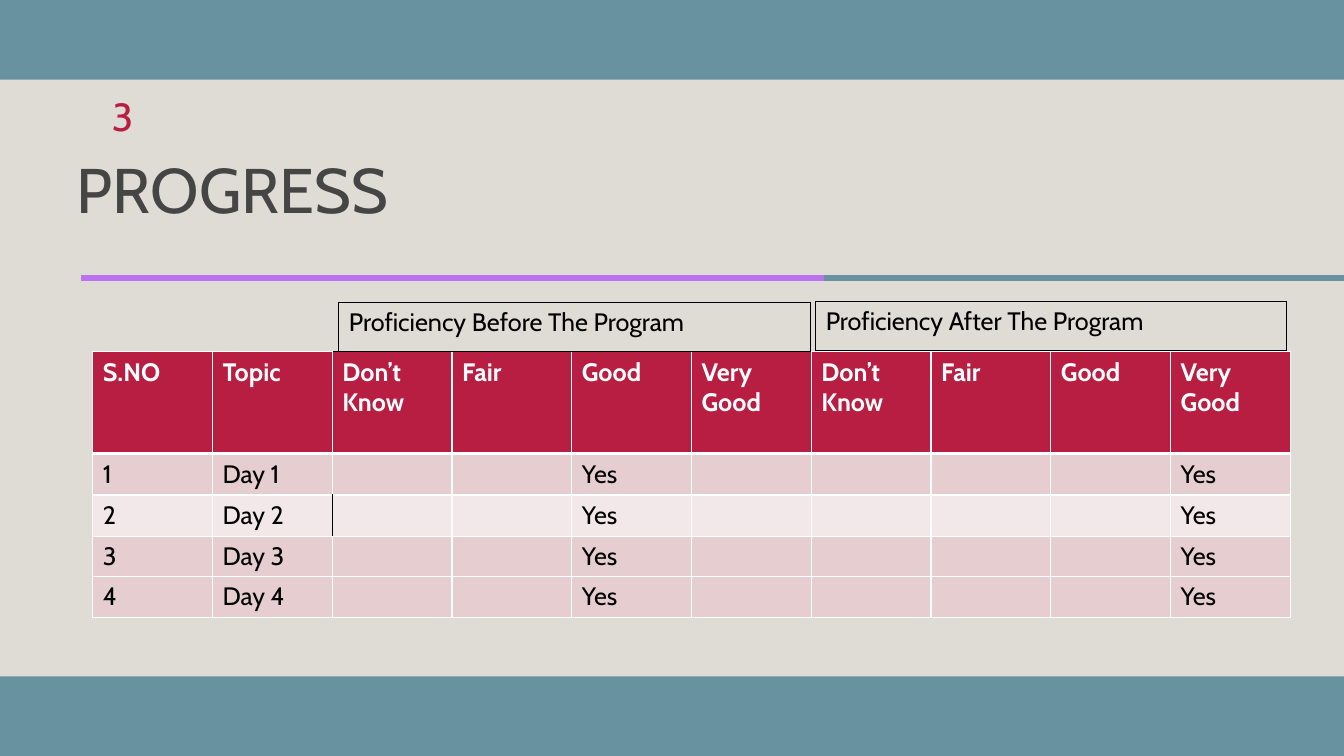
"""Build the PROGRESS slide with its proficiency tables."""
from lxml.etree import SubElement
from pptx import Presentation
from pptx.dml.color import RGBColor
from pptx.enum.shapes import MSO_CONNECTOR, MSO_SHAPE
from pptx.enum.text import MSO_ANCHOR, PP_ALIGN
from pptx.oxml import parse_xml
from pptx.oxml.ns import nsdecls, qn
from pptx.util import Inches, Pt

COLORS = {
    "teal": "6892A0", "sand": "DFDBD5", "purple": "BC72F0", "red": "B71E42",
    "gray": "454545", "white": "FFFFFF", "black": "000000",
    "rose": "E6CDCF", "pale": "F3E8E9",
}
FONT = "Cabin"
LEVELS = ["Don’t Know", "Fair", "Good", "Very Good"]
HEAD = ["S.NO", "Topic"] + LEVELS * 2
DAYS = [[str(n), f"Day {n}", "", "", "Yes", "", "", "", "", "Yes"]
        for n in range(1, 5)]
BANDS = [("Proficiency Before The Program", 3.36, 3, 4.68),
         ("Proficiency After The Program", 8.09, 2.99, 4.67)]
RULES = [(13.33, 8.15, "teal"), (8.17, 0.8, "purple")]
LEFT, TOP, WIDE = 0.92, 3.49, 11.88
HEAD_H, ROW_H, BAND_H = 1.01, 0.41, 0.49


def color(name):
    return RGBColor.from_string(COLORS[name])


def write(frame, text, size=18, ink="black", bold=False, align=None,
          anchor=None, space=None):
    frame.word_wrap = True
    if anchor is not None:
        frame.vertical_anchor = anchor
    para = frame.paragraphs[0]
    if align is not None:
        para.alignment = align
    if space:
        para.line_spacing = space
    run = para.add_run()
    run.text = text
    run.font.name, run.font.size, run.font.bold = FONT, Pt(size), bold
    run.font.color.rgb = color(ink)


def border(cell, edge, **sides):
    """Draw the four borders; sides maps L, R, T or B to (colour, points)."""
    props = cell._tc.get_or_add_tcPr()
    for spot, side in enumerate("LRTB"):
        ink, width = sides.get(side, (edge, 1))
        props.insert(spot, parse_xml(
            f'<a:ln{side} {nsdecls("a")} w="{Pt(width)}"><a:solidFill>'
            f'<a:srgbClr val="{COLORS[ink]}"/></a:solidFill></a:ln{side}>'))


def grid(slide, rows, left, top, width, heights, fills, edge="white",
         special=None):
    count = len(rows[0])
    table = slide.shapes.add_table(
        len(rows), count, Inches(left), Inches(top), Inches(width),
        Inches(sum(heights))).table
    table.first_row = table.horz_banding = False
    for col in table.columns:
        col.width = Inches(width / count)
    for r, row in enumerate(rows):
        table.rows[r].height = Inches(heights[r])
        head = fills[r] == "red"
        for c, text in enumerate(row):
            cell = table.cell(r, c)
            if fills[r]:
                cell.fill.solid()
                cell.fill.fore_color.rgb = color(fills[r])
            else:
                cell.fill.background()
            sides = dict((special or {}).get((r, c), {}))
            if head:
                sides["B"] = ("white", 3)
            elif r and fills[r - 1] == "red":
                sides["T"] = ("white", 3)
            border(cell, edge, **sides)
            if text:
                write(cell.text_frame, text, bold=head,
                      ink="white" if head else "black")


def main():
    deck = Presentation()
    deck.slide_width, deck.slide_height = Inches(13.33), Inches(7.5)
    slide = deck.slides.add_slide(deck.slide_layouts[5])
    slide.background.fill.solid()
    slide.background.fill.fore_color.rgb = color("teal")
    shapes = slide.shapes

    panel = shapes.add_shape(MSO_SHAPE.RECTANGLE, 0, Inches(0.79),
                             deck.slide_width, Inches(5.92))
    panel.shadow.inherit = False
    panel.fill.solid()
    panel.fill.fore_color.rgb = color("sand")
    panel.line.fill.background()

    for start, end, ink in RULES:
        rule = shapes.add_connector(MSO_CONNECTOR.STRAIGHT, Inches(start),
                                    Inches(2.76), Inches(end), Inches(2.76))
        rule.line.color.rgb = color(ink)
        rule.line.width = Pt(4.5)
        SubElement(rule._element.spPr, qn("a:effectLst"))

    number = shapes.add_textbox(Inches(0.53), Inches(0.87),
                                Inches(0.89), Inches(0.55))
    write(number.text_frame, "3", size=28, ink="red", align=PP_ALIGN.RIGHT,
          anchor=MSO_ANCHOR.MIDDLE)

    title = shapes.title
    title.left, title.top = Inches(0.66), Inches(1.6)
    title.width, title.height = Inches(11.5), Inches(0.63)
    write(title.text_frame, "PROGRESS", size=45, ink="gray", space=0.9,
          align=PP_ALIGN.LEFT, anchor=MSO_ANCHOR.MIDDLE)
    number._element.addnext(title._element)

    black = ("black", 1)
    grid(slide, [HEAD] + DAYS[:3], LEFT, TOP, WIDE, [HEAD_H] + [ROW_H] * 3,
         ["red", "rose", "pale", "rose"],
         special={(0, 2): {"T": black}, (2, 1): {"R": black},
                  (2, 2): {"L": black}})
    for text, left, top, width in BANDS:
        grid(slide, [[text]], left, top, width, [BAND_H], [None], edge="black")
    grid(slide, DAYS[3:], LEFT, 5.72, WIDE, [0.4], ["rose"])
    deck.save("out.pptx")


if __name__ == "__main__":
    main()
